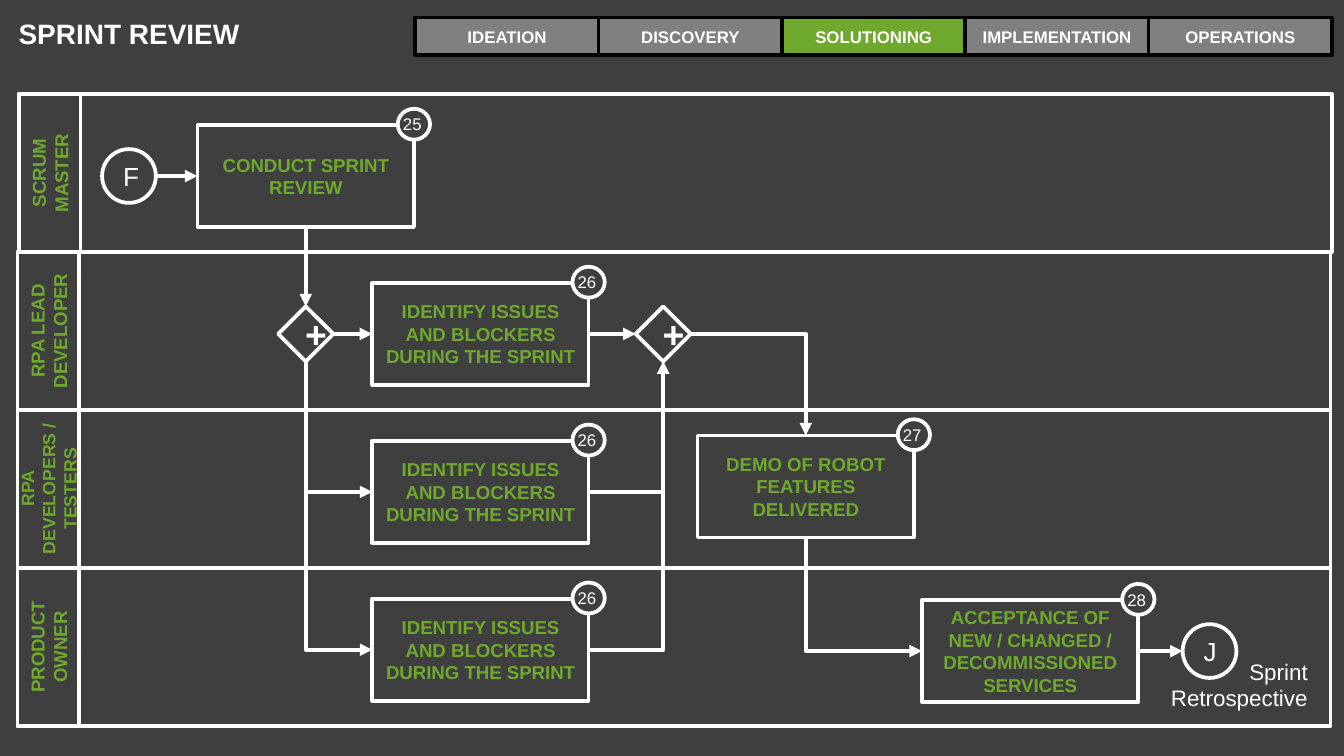
from collections import namedtuple

import pptx
import pptx.dml.color
import pptx.enum.shapes
import pptx.enum.text
import pptx.oxml
import pptx.oxml.ns
import pptx.util
from pptx.util import Inches

Box = namedtuple("Box", "x y w h")
SHAPES = pptx.enum.shapes.MSO_SHAPE
CONNECTORS = pptx.enum.shapes.MSO_CONNECTOR
ALIGN = pptx.enum.text.PP_ALIGN
MIDDLE = pptx.enum.text.MSO_ANCHOR.MIDDLE
TOP, LEFT, BOTTOM, RIGHT = range(4)


class Theme:
    background, white, black = "3F3F3F", "FFFFFF", "000000"
    grey, green = "808080", "6EA92D"
    font = "Arial"
    border, arrow = 2, 2.25
    title = {"size": 15, "bold": True, "color": white}
    phase = {"size": 9, "bold": True, "color": white}
    label = {"size": 10, "bold": True, "color": green}
    long_label = {**label, "size": 9.5}
    badge = {"size": 9, "bold": False, "color": white}
    event = {"size": 14, "bold": False, "color": white}
    gateway = {"size": 20, "bold": True, "color": white}
    note = {"size": 12, "bold": False, "color": white}


def rgb(value):
    return pptx.dml.color.RGBColor.from_string(value)


def inches(box):
    return [Inches(length) for length in box]


def write(frame, text, style, align):
    frame.text = text
    formats = {"name": Theme.font, "size": pptx.util.Pt(style["size"]), "bold": style["bold"]}
    for paragraph in frame.paragraphs:
        paragraph.alignment = align
        for key, value in formats.items():
            setattr(paragraph.font, key, value)
        paragraph.font.color.rgb = rgb(style["color"])


def add_outline(slide, kind, box, text="", style=Theme.label, fill=None, line=Theme.white):
    shape = slide.shapes.add_shape(kind, *inches(box))
    shape.shadow.inherit = False
    if fill:
        shape.fill.solid()
        shape.fill.fore_color.rgb = rgb(fill)
    else:
        shape.fill.background()
    shape.line.color.rgb = rgb(line)
    shape.line.width = pptx.util.Pt(Theme.border)
    if text:
        shape.text_frame.vertical_anchor = MIDDLE
        shape.text_frame.word_wrap = True
        write(shape.text_frame, text, style, ALIGN.CENTER)
    return shape


def add_text(slide, box, text, style, align=ALIGN.LEFT, wrap=False):
    frame = slide.shapes.add_textbox(*inches(box)).text_frame
    frame.word_wrap = wrap
    write(frame, text, style, align)
    return frame


def add_title(slide, box, text):
    frame = add_text(slide, box, text, Theme.title, wrap=True)
    frame.margin_top = frame.margin_bottom = Inches(0.1)


def add_phase_bar(slide, box, phases, current):
    width = box.w / len(phases)
    for i, phase in enumerate(phases):
        add_outline(slide, SHAPES.RECTANGLE, Box(box.x + i * width, box.y, width, box.h), phase,
                    Theme.phase, Theme.green if phase == current else Theme.grey, Theme.black)


def add_lane(slide, box, role, style):
    add_outline(slide, SHAPES.RECTANGLE, box)
    header = 0.46
    label = add_outline(slide, SHAPES.RECTANGLE,
                        Box(box.x + (header - box.h) / 2, box.y + (box.h - header) / 2,
                            box.h, header), role, style)
    label.rotation = 270


def add_task(slide, x, y, text, number):
    box = Box(x, y, 1.61, 0.76)
    task = add_outline(slide, SHAPES.RECTANGLE, box, text)
    corner = box.x + box.w
    add_outline(slide, SHAPES.OVAL, Box(corner - 0.12, y - 0.12, 0.24, 0.23),
                fill=Theme.background)
    add_text(slide, Box(corner - 0.18, y - 0.13, 0.34, 0.25), str(number), Theme.badge)
    return task


def add_node(slide, kind, x, center_y, size, text, style):
    return add_outline(slide, kind, Box(x, center_y - size / 2, size, size), text, style)


def style_arrow(arrow):
    arrow.line.color.rgb = rgb(Theme.white)
    arrow.line.width = pptx.util.Pt(Theme.arrow)
    namespace = pptx.oxml.ns.nsdecls("a")
    arrow.line._get_or_add_ln().append(
        pptx.oxml.parse_xml(f'<a:tailEnd {namespace} type="triangle"/>'))
    arrow._element.spPr.append(pptx.oxml.parse_xml(f"<a:effectLst {namespace}/>"))


def add_flow(slide, source, source_side, target, target_side):
    """Join two steps, turning one corner when their sides do not face each other."""
    bent = (source_side - target_side) % 2 == 1
    kind = CONNECTORS.ELBOW if bent else CONNECTORS.STRAIGHT
    arrow = slide.shapes.add_connector(kind, 0, 0, 0, 0)
    arrow.begin_connect(source, source_side)
    arrow.end_connect(target, target_side)
    style_arrow(arrow)
    if not bent:
        return
    properties = arrow._element.spPr
    geometry = properties.find(pptx.oxml.ns.qn("a:prstGeom"))
    geometry.set("prst", "bentConnector2")
    # A path that first runs down is the one-corner preset turned and mirrored
    if source_side == BOTTOM:
        w, h = arrow.width, arrow.height
        arrow.left, arrow.top = arrow.left + (w - h) // 2, arrow.top + (h - w) // 2
        arrow.width, arrow.height = h, w
        transform = properties.find(pptx.oxml.ns.qn("a:xfrm"))
        transform.set("rot", "16200000")
        transform.set("flipH", "1")


def add_event_flow(slide, start_x, end_x, y, task, entering):
    arrow = slide.shapes.add_connector(
        CONNECTORS.STRAIGHT, *inches((start_x, y, end_x, y)))
    if entering:
        arrow.end_connect(task, LEFT)
    else:
        arrow.begin_connect(task, RIGHT)
    style_arrow(arrow)


def add_process(slide, box):
    # Swimlanes, the first one set slightly to the right
    lanes = [("SCRUM MASTER", Theme.label, 0.01), ("RPA LEAD DEVELOPER", Theme.label, 0),
             ("RPA DEVELOPERS / TESTERS", Theme.long_label, 0),
             ("PRODUCT OWNER", Theme.label, 0)]
    lane_height = box.h / len(lanes)
    tops = [box.y + i * lane_height for i in range(len(lanes))]
    for top, (role, style, shift) in zip(tops, lanes):
        add_lane(slide, Box(box.x + shift, top, box.w, lane_height), role, style)

    # Tasks
    conduct = add_task(slide, box.x + 1.34, tops[0] + 0.23, "CONDUCT SPRINT REVIEW", 25)
    issues = [add_task(slide, box.x + 2.64, top + 0.23,
                       "IDENTIFY ISSUES AND BLOCKERS DURING THE SPRINT", 26) for top in tops[1:]]
    demo = add_task(slide, box.x + 5.06, tops[2] + 0.19, "DEMO OF ROBOT FEATURES DELIVERED", 27)
    acceptance = add_task(slide, box.x + 6.73, tops[3] + 0.24,
                          "ACCEPTANCE OF NEW / CHANGED / DECOMMISSIONED SERVICES", 28)

    # Gateways and events
    split, merge = [add_node(slide, SHAPES.FLOWCHART_DECISION, box.x + x, tops[1] + 0.61, 0.41,
                             "+", Theme.gateway) for x in (1.94, 4.6)]
    start_y, end_y = tops[0] + 0.61, tops[3] + 0.62
    add_node(slide, SHAPES.OVAL, box.x + 0.63, start_y, 0.4, "F", Theme.event)
    add_node(slide, SHAPES.OVAL, box.x + 8.67, end_y, 0.4, "J", Theme.event)
    add_text(slide, Box(box.x + 8.47, end_y, 1.23, 0.5), "Sprint\nRetrospective",
             Theme.note, ALIGN.RIGHT)

    # Flows
    add_event_flow(slide, box.x + 1.03, box.x + 1.34, start_y, conduct, True)
    add_event_flow(slide, box.x + 8.34, box.x + 8.67, end_y, acceptance, False)
    add_flow(slide, conduct, BOTTOM, split, TOP)
    for i, issue in enumerate(issues):
        add_flow(slide, split, BOTTOM if i else RIGHT, issue, LEFT)
        add_flow(slide, issue, RIGHT, merge, BOTTOM if i else LEFT)
    add_flow(slide, merge, RIGHT, demo, TOP)
    add_flow(slide, demo, BOTTOM, acceptance, LEFT)


def main():
    deck = pptx.Presentation()
    deck.slide_width = Inches(10)
    deck.slide_height = deck.slide_width * 9 // 16
    slide = deck.slides.add_slide(deck.slide_layouts[6])
    slide.background.fill.solid()
    slide.background.fill.fore_color.rgb = rgb(Theme.background)
    add_phase_bar(slide, Box(3.09, 0.13, 6.82, 0.28),
                  ["IDEATION", "DISCOVERY", "SOLUTIONING", "IMPLEMENTATION", "OPERATIONS"],
                  "SOLUTIONING")
    add_process(slide, Box(0.13, 0.7, 9.77, 4.7))
    add_title(slide, Box(0.04, 0.02, 3.21, 0.63), "SPRINT REVIEW")
    deck.save("out.pptx")


if __name__ == "__main__":
    main()
